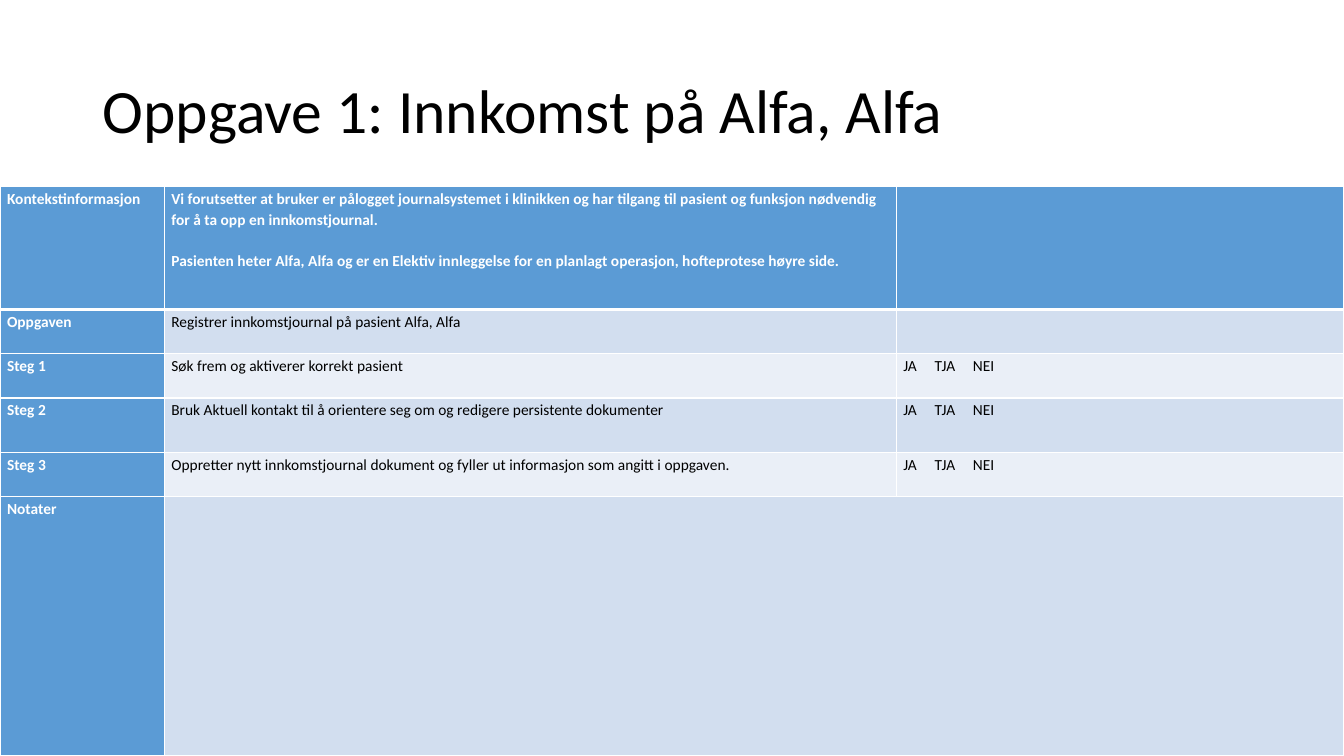
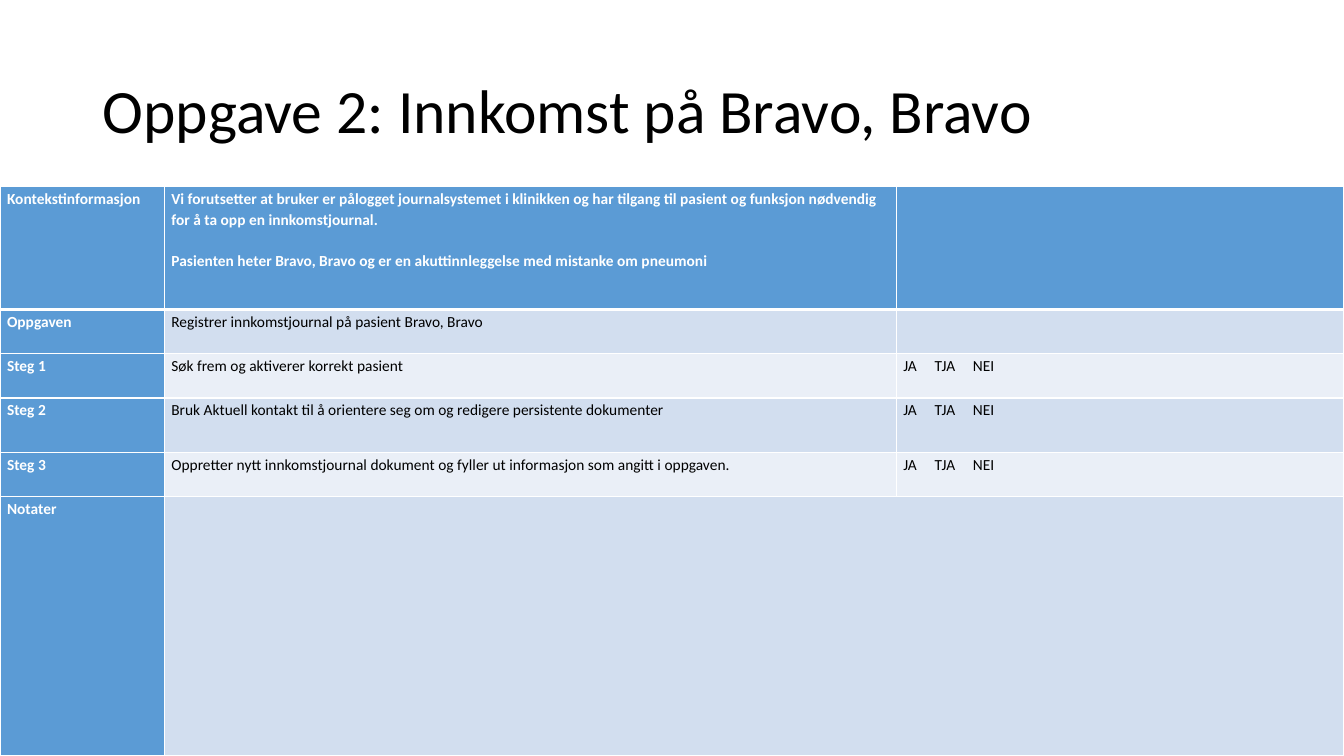
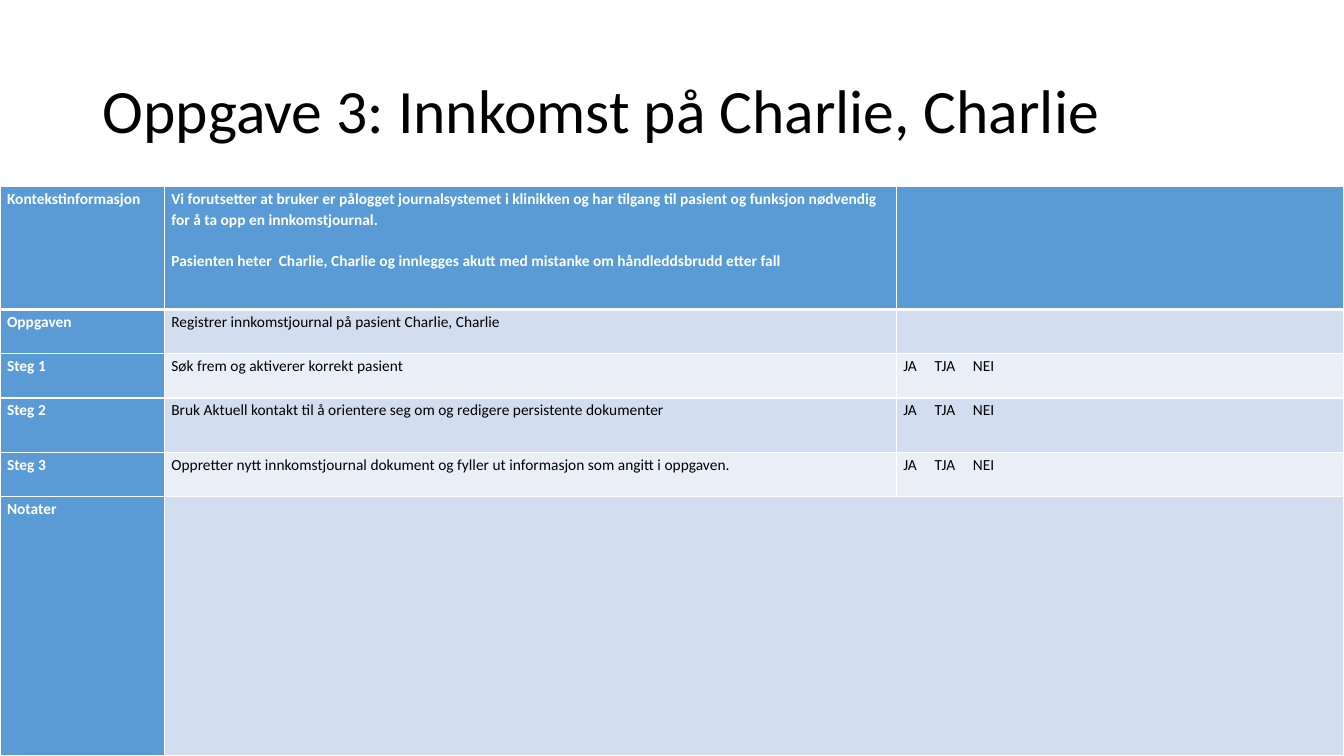
from lxml.etree import SubElement
from pptx import Presentation
from pptx.dml.color import RGBColor
from pptx.enum.text import MSO_ANCHOR, MSO_AUTO_SIZE, PP_ALIGN
from pptx.oxml.ns import qn
from pptx.util import Emu, Inches, Pt

TASKS = [
    ("Alfa, Alfa",
     "Pasienten heter Alfa, Alfa og er en Elektiv innleggelse for en planlagt "
     "operasjon, hofteprotese høyre side."),
    ("Bravo, Bravo",
     "Pasienten heter Bravo, Bravo og er en akuttinnleggelse med mistanke om pneumoni"),
    ("Charlie, Charlie",
     "Pasienten heter  Charlie, Charlie og innlegges akutt med mistanke om "
     "håndleddsbrudd etter fall"),
]
CONTEXT = ("Vi forutsetter at bruker er pålogget journalsystemet i klinikken og har "
           "tilgang til pasient og funksjon nødvendig for å ta opp en innkomstjournal.")
ANSWERS = "JA\tTJA\tNEI"
STEPS = [
    "Søk frem og aktiverer korrekt pasient",
    "Bruk Aktuell kontakt til å orientere seg om og redigere persistente dokumenter",
    "Oppretter nytt innkomstjournal dokument og fyller ut informasjon som angitt i oppgaven.",
]

COLORS = {"header": "5B9BD5", "odd": "D2DEEF", "even": "EAEFF7",
          "light": "FFFFFF", "dark": "000000"}
FONT = "Calibri"
SLIDE_SIZE = (13.33, 7.5)
TITLE_BOX = {"left": 0.92, "top": 0.4, "width": 11.5, "height": 1.45}
TABLE_TOP = TITLE_BOX["top"] + TITLE_BOX["height"]
COLUMN_WIDTHS = [1.63, 7.26, 4.44]
ROW_HEIGHTS = [1.22, 0.44, 0.44, 0.54, 0.44, 2.57]
CELL_MARGINS = {"margin_left": Inches(0.07), "margin_right": Inches(0.07),
                "margin_top": 0, "margin_bottom": 0}
ANSWER_TABS = [0.31, 0.69]


def set_values(target, values):
    """Set every named attribute of the target."""
    for name, value in values.items():
        setattr(target, name, value)


def color(name):
    """Return a palette colour."""
    return RGBColor.from_string(COLORS[name])


def format_font(font, size, color_name, bold=False):
    """Apply the shared typeface with a size, colour and weight."""
    set_values(font, {"name": FONT, "size": Pt(size), "bold": bold})
    font.color.rgb = color(color_name)


def add_title(slide, text):
    """Place and style the slide title."""
    title = slide.shapes.title
    set_values(title, {name: Inches(value) for name, value in TITLE_BOX.items()})
    set_values(title.text_frame, {"text": text, "word_wrap": True,
                                  "auto_size": MSO_AUTO_SIZE.NONE,
                                  "vertical_anchor": MSO_ANCHOR.MIDDLE})
    paragraph = title.text_frame.paragraphs[0]
    set_values(paragraph, {"alignment": PP_ALIGN.LEFT, "line_spacing": 0.9})
    format_font(paragraph.runs[0].font, 44, "dark")


def add_borders(cell, widths):
    """Draw white cell borders, with a width in points for each side."""
    properties = cell._tc.get_or_add_tcPr()
    for side in "LRTB":
        line = SubElement(properties, qn(f"a:ln{side}"), w=str(Pt(widths.get(side, 1))))
        fill = SubElement(line, qn("a:solidFill"))
        SubElement(fill, qn("a:srgbClr"), val=COLORS["light"])


def add_tab_stops(paragraph):
    """Line up the answers on tab stops."""
    tabs = SubElement(paragraph._p.get_or_add_pPr(), qn("a:tabLst"))
    for position in ANSWER_TABS:
        SubElement(tabs, qn("a:tab"), pos=str(Inches(position)), algn="l")


def write_cell(cell, text, is_header):
    """Write the paragraphs of one cell, split at line ends."""
    set_values(cell, CELL_MARGINS)
    cell.text = text
    for index, paragraph in enumerate(cell.text_frame.paragraphs):
        paragraph.line_spacing = 1.0 if index else 1.15
        paragraph.space_before = Pt(15.4 if index else 0)
        if "\t" in text:
            add_tab_stops(paragraph)
        for run in paragraph.runs:
            format_font(run.font, 11, "light" if is_header else "dark", is_header)


def add_task_table(slide, rows):
    """Build the table with a header row, a header column and banded rows."""
    frame = slide.shapes.add_table(
        len(rows), len(COLUMN_WIDTHS), 0, Inches(TABLE_TOP),
        Inches(sum(COLUMN_WIDTHS)), Inches(sum(ROW_HEIGHTS)))
    table = frame.table
    set_values(table, {"first_row": False, "horz_banding": False})
    for column, width in zip(table.columns, COLUMN_WIDTHS):
        column.width = Inches(width)
    for row, height in zip(table.rows, ROW_HEIGHTS):
        row.height = Inches(height)
    for row_index, texts in enumerate(rows):
        band = "odd" if row_index % 2 else "even"
        heavy_side = {0: {"B": 3}, 1: {"T": 3}}.get(row_index, {})
        for column_index, text in enumerate(texts):
            cell = table.cell(row_index, column_index)
            is_header = row_index == 0 or column_index == 0
            add_borders(cell, heavy_side)
            cell.fill.solid()
            cell.fill.fore_color.rgb = color("header" if is_header else band)
            if text:
                write_cell(cell, text, is_header)
    last = len(rows) - 1
    table.cell(last, 1).merge(table.cell(last, 2))


def main():
    """Build one slide for each task and save the presentation."""
    presentation = Presentation()
    presentation.slide_width, presentation.slide_height = map(Inches, SLIDE_SIZE)
    title_only = presentation.slide_layouts[5]
    for number, (patient, admission) in enumerate(TASKS, 1):
        slide = presentation.slides.add_slide(title_only)
        add_title(slide, f"Oppgave {number}: Innkomst på {patient}")
        add_task_table(slide, [
            ("Kontekstinformasjon", f"{CONTEXT}\n{admission}", ""),
            ("Oppgaven", f"Registrer innkomstjournal på pasient {patient}", ""),
            *((f"Steg {step}", text, ANSWERS) for step, text in enumerate(STEPS, 1)),
            ("Notater", "", ""),
        ])
    presentation.save("out.pptx")


main()
